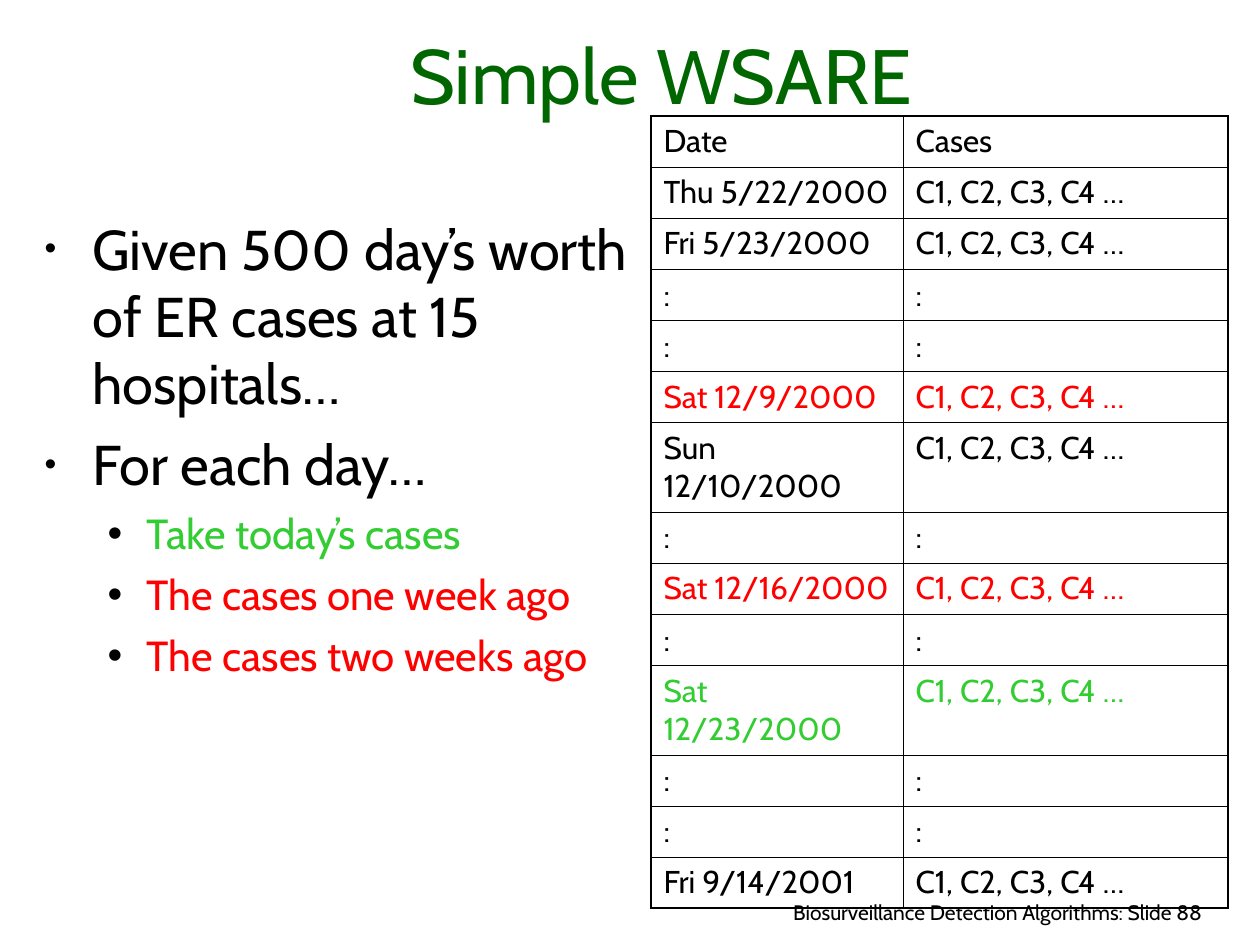
from lxml import etree
from pptx import Presentation
from pptx.dml.color import RGBColor
from pptx.enum.text import MSO_ANCHOR, MSO_AUTO_SIZE, PP_ALIGN
from pptx.oxml.ns import qn
from pptx.util import Pt

TOP, BOTTOM = MSO_ANCHOR.TOP, MSO_ANCHOR.BOTTOM
LEFT, CENTER, RIGHT = PP_ALIGN.LEFT, PP_ALIGN.CENTER, PP_ALIGN.RIGHT
FIXED = MSO_AUTO_SIZE.NONE
SCALE = 914400 / 126
FONT = "Cabin"
BLACK, RED, LIME, GREEN = "000000", "FF0000", "33CC33", "006600"

# Content
TITLE = "Simple WSARE"
FOOTER = "Biosurveillance Detection Algorithms: Slide 88"
POINTS = [
    (0, "Given 500 day’s worth of ER cases at 15 hospitals…", BLACK),
    (0, "For each day…", BLACK),
    (1, "Take today’s cases", LIME),
    (1, "The cases one week ago", RED),
    (1, "The cases two weeks ago", RED),
]
LEVELS = [  # text size, space before, left margin, hanging indent, bullet %
    {"size": 32, "before": 8, "margin": 48, "hang": 48, "dot": 60},
    {"size": 24, "before": 6, "margin": 102, "hang": 39, "dot": 100},
]
HEAD = ("Date", "Cases")
CASES = "C1, C2, C3, C4 …"
GAP = ":"
DAYS = ["Thu 5/22/2000", "Fri 5/23/2000", GAP, GAP, "Sat 12/9/2000",
        "Sun 12/10/2000", GAP, "Sat 12/16/2000", GAP, "Sat 12/23/2000",
        GAP, GAP, "Fri 9/14/2001"]
TINTS = {"Sat 12/9/2000": RED, "Sat 12/16/2000": RED, "Sat 12/23/2000": LIME}
COLS = (252, 325)
ROW, TALL = 51, 88
TALL_DAY = "Sun 12/10/2000"
THIN, THICK = 0.45, 1.08

# Boxes: left, top, width, height
TITLE_BOX = (126, 32, 1071, 94)
BODY_BOX = (32, 208, 620, 655)
FOOTER_BOX = (721, 893, 494, 42)
TABLE_AT = (651, 116)


def px(n):
    return int(n * SCALE)


def color(code):
    return RGBColor.from_string(code)


def write(para, text, size, tint, align=LEFT):
    para.text = text
    para.alignment = align
    font = para.font
    for key, val in {"name": FONT, "size": Pt(size), "bold": False}.items():
        setattr(font, key, val)
    font.color.rgb = color(tint)


def place(shape, box, anchor=TOP):
    for key, val in zip(("left", "top", "width", "height"), box):
        setattr(shape, key, px(val))
    frame = shape.text_frame
    form = {"word_wrap": True, "auto_size": FIXED, "vertical_anchor": anchor}
    for key, val in form.items():
        setattr(frame, key, val)
    return frame


def bullet(para, level):
    props = para._p.get_or_add_pPr()
    props.set("marL", str(px(level["margin"])))
    props.set("indent", str(-px(level["hang"])))
    tint = etree.SubElement(props, qn("a:buClr"))
    etree.SubElement(tint, qn("a:srgbClr"), val=BLACK)
    etree.SubElement(props, qn("a:buSzPct"), val=str(level["dot"] * 1000))
    etree.SubElement(props, qn("a:buChar"), char="•")


def border(cell, widths):
    props = cell._tc.get_or_add_tcPr()
    for side, width in widths.items():
        line = etree.SubElement(props, qn("a:ln" + side), w=str(Pt(width)))
        fill = etree.SubElement(line, qn("a:solidFill"))
        etree.SubElement(fill, qn("a:srgbClr"), val=BLACK)


deck = Presentation()
deck.slide_width, deck.slide_height = px(1260), px(945)
slide = deck.slides.add_slide(deck.slide_layouts[1])
shapes = slide.shapes

# Title
frame = place(shapes.title, TITLE_BOX, BOTTOM)
write(frame.paragraphs[0], TITLE, 44, GREEN, CENTER)

# Bulleted list
frame = place(slide.placeholders[1], BODY_BOX)
for i, (depth, text, tint) in enumerate(POINTS):
    para = frame.add_paragraph() if i else frame.paragraphs[0]
    level = LEVELS[depth]
    para.level = depth
    bullet(para, level)
    para.space_before = Pt(level["before"] if i else 0)
    write(para, text, level["size"], tint)

# Footer
frame = place(shapes.add_textbox(0, 0, 0, 0), FOOTER_BOX)
write(frame.paragraphs[0], FOOTER, 12, BLACK, RIGHT)

# Table of days
rows = [HEAD] + [(day, GAP if day == GAP else CASES) for day in DAYS]
highs = [TALL if day == TALL_DAY else ROW for day, _ in rows]
size = (sum(COLS), sum(highs))
table = shapes.add_table(len(rows), len(COLS),
                         *map(px, TABLE_AT + size)).table
table.first_row = table.horz_banding = False
for col, wide in zip(table.columns, COLS):
    col.width = px(wide)
last = len(rows) - 1
for r, row in enumerate(rows):
    table.rows[r].height = px(highs[r])
    for c, text in enumerate(row):
        cell = table.cell(r, c)
        write(cell.text_frame.paragraphs[0], text, 18,
              TINTS.get(row[0], BLACK))
        border(cell, {"L": THIN if c else THICK,
                      "R": THICK if c else THIN,
                      "T": THIN if r else THICK,
                      "B": THICK if r == last else THIN})
        cell.fill.background()

deck.save("out.pptx")
